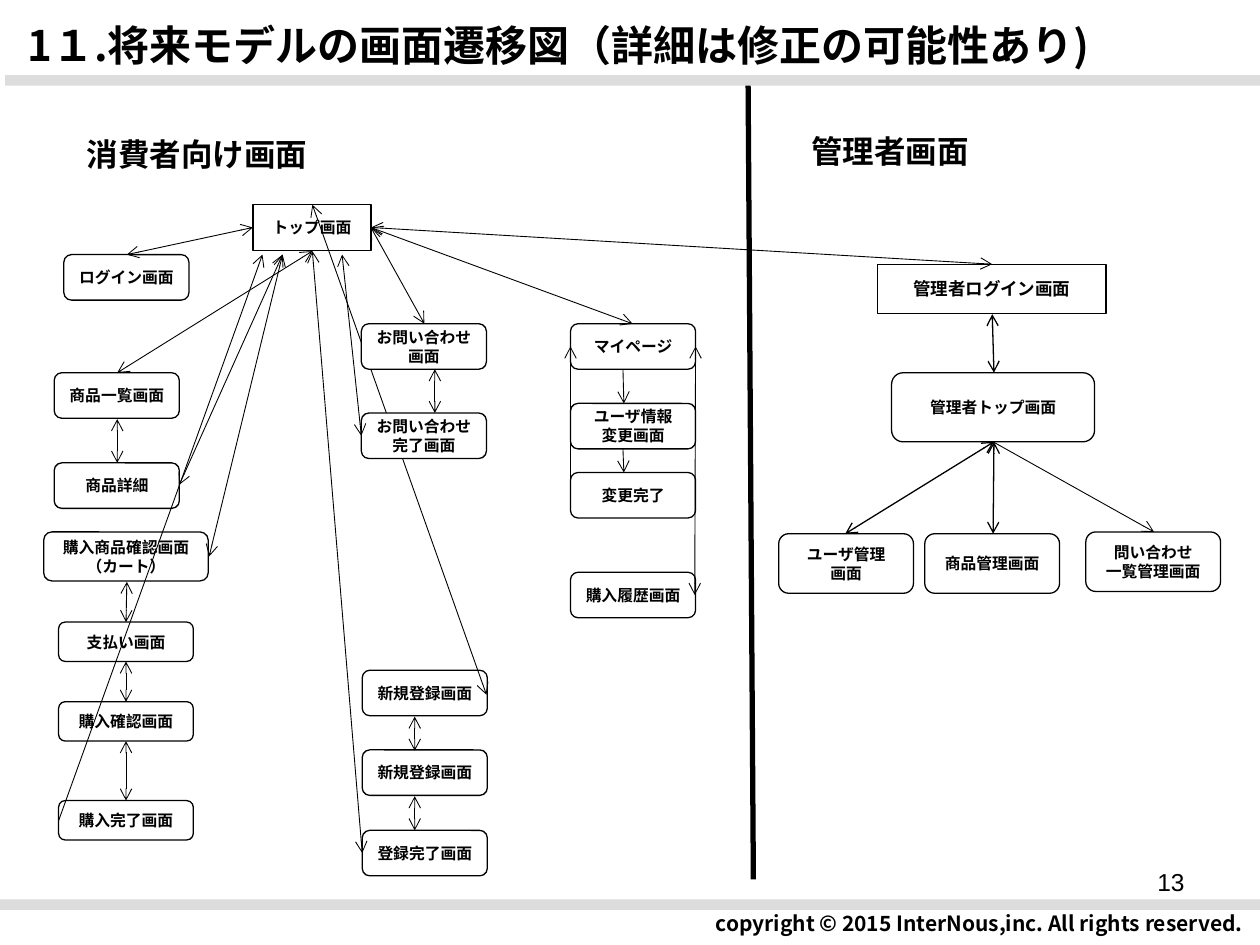
from pptx import Presentation
from pptx.dml.color import RGBColor
from pptx.enum.shapes import MSO_CONNECTOR as Link, MSO_SHAPE as Shape
from pptx.enum.text import MSO_ANCHOR as Anchor, PP_ALIGN as Align
from pptx.oxml.ns import qn
from pptx.util import Pt
from lxml.etree import SubElement

BLACK = RGBColor(0x00, 0x00, 0x00)
WHITE = RGBColor(0xFF, 0xFF, 0xFF)
GRAY = RGBColor(0xDD, 0xDD, 0xDD)
JAPANESE = "Noto Sans CJK JP"

prs = Presentation()
prs.slide_width, prs.slide_height = Pt(720), Pt(540)
slide = prs.slides.add_slide(prs.slide_layouts[6])
shapes = slide.shapes


def write(shape, text, size, align, font=JAPANESE, bold=True):
    frame = shape.text_frame
    frame.text = text
    for paragraph in frame.paragraphs:
        paragraph.alignment = align
        for run in paragraph.runs:
            run.font.size = Pt(size)
            run.font.bold = bold
            run.font.name = font
            run.font.color.rgb = BLACK
            east_asian = SubElement(run.font._element, qn("a:ea"))
            east_asian.set("typeface", JAPANESE)


def connect(x1, y1, x2, y2, width=0.5, ends=("headEnd", "tailEnd")):
    link = shapes.add_connector(Link.STRAIGHT, Pt(x1), Pt(y1), Pt(x2), Pt(y2))
    link.line.color.rgb = BLACK
    link.line.width = Pt(width)
    for end in ends:
        SubElement(link.line._get_or_add_ln(), qn("a:" + end)).set("type", "arrow")
    SubElement(link._element.spPr, qn("a:effectLst"))


# Gray bands under the title and above the footer
for left, top in [(3, 43), (0, 514)]:
    band = shapes.add_shape(Shape.RECTANGLE, Pt(left), Pt(top), Pt(723), Pt(6))
    band.shadow.inherit = False
    band.fill.solid()
    band.fill.fore_color.rgb = GRAY
    band.line.fill.background()

# Title, footer and section headings
headings = [
    ("1１.将来モデルの画面遷移図（詳細は修正の可能性あり)", 8.5, 3.5, 700, 44, 24, Align.LEFT),
    ("copyright © 2015 InterNous,inc. All rights reserved.", 212.5, 514, 505, 26.5, 12, Align.RIGHT),
    ("消費者向け画面", 42.5, 66, 150, 44, 18, Align.LEFT),
    ("管理者画面", 456.5, 71.5, 104.5, 29, 18, Align.LEFT),
]
for text, left, top, width, height, size, align in headings:
    heading = shapes.add_textbox(Pt(left), Pt(top), Pt(width), Pt(height))
    heading.text_frame.word_wrap = False
    heading.text_frame.vertical_anchor = Anchor.MIDDLE
    write(heading, text, size, align)

page_number = shapes.add_textbox(Pt(516), Pt(492), Pt(168), Pt(37.5))
page_number.text_frame.word_wrap = True
write(page_number, "13", 14, Align.RIGHT, "Arial", False)

# Divider between the consumer and the administrator side
connect(427.5, 49, 430.5, 502.5, 3, ())

# Screens: left, width, height, then (text, top) down the column
main_columns = [
    (144.5, 67.5, 26, [("トップ画面", 117)]),
    (36.5, 71.5, 26, [("ログイン画面", 145.5)]),
    (31, 71.5, 26, [("商品一覧画面", 213), ("商品詳細", 264.5)]),
    (25, 94, 28, [("購入商品確認画面\n（カート）", 304)]),
    (33.5, 77, 22.5, [("支払い画面", 355.5), ("購入確認画面", 401), ("購入完了画面", 457.5)]),
    (326, 71.5, 26, [("マイページ", 185), ("ユーザ情報\n変更画面", 230.5),
                     ("変更完了", 270), ("購入履歴画面", 327)]),
    (207, 71.5, 26, [("新規登録画面", 383), ("新規登録画面", 428.5), ("登録完了画面", 474.5)]),
    (501.5, 130.5, 28, [("管理者ログイン画面", 151)]),
    (509.5, 116, 39.5, [("管理者トップ画面", 213)]),
    (445, 77, 34, [("ユーザ管理\n画面", 305)]),
    (528.5, 77, 34, [("商品管理画面", 305)]),
    (620.5, 77, 34, [("問い合わせ\n一覧管理画面", 304)]),
]
main_two_way = [
    (144.5, 130, 72.5, 145.5),      # top - login
    (212, 130, 361.5, 185),         # top - my page
    (178.5, 143.5, 67, 213),        # top - product list
    (67, 239.5, 67, 264.5),         # product list - detail
    (102.5, 277, 161.5, 145.5),     # detail - top
    (161.5, 145.5, 119.5, 318),     # top - cart
    (72.5, 332.5, 72, 355.5),       # cart - payment
    (72, 378, 72, 401),             # payment - confirmation
    (72, 423.5, 72, 457.5),         # confirmation - completion
    (178.5, 117, 278, 397),         # top - registration
    (237, 409.5, 237, 429),         # registration - second step
    (237, 455, 237, 474.5),         # second step - completion
    (178.5, 143.5, 207, 487.5),     # top - registration completion
    (397.5, 198, 397, 340),         # my page - purchase history
    (212, 130, 567, 151),           # top - administrator login
]
admin_two_way = [
    (567, 179.5, 568, 213),
    (568, 252.5, 483, 305),
    (568, 252.5, 567.5, 305),
]
one_way = [
    (356, 211, 356.5, 230.5),       # my page - user data
    (356, 256.5, 356.5, 270),       # user data - changed
    (326, 283, 326, 198),           # changed - my page
    (33.5, 469, 150, 145.5),        # purchase completion - top
    (567.5, 252.5, 659.5, 304),     # administrator top - inquiries
]

# The inquiry screens lie over the arrows of the other screens
inquiry_columns = [(206.5, 71.5, 26, [("お問い合わせ画面", 185), ("お問い合わせ完了画面", 236)])]
inquiry_two_way = [
    (212, 130, 242.5, 185),
    (248.5, 211, 248.5, 236),
    (206.5, 249, 195.5, 145.5),
]

layers = [
    (main_columns, main_two_way, admin_two_way, one_way),
    (inquiry_columns, inquiry_two_way, [], []),
]
for columns, thin_arrows, thick_arrows, single_arrows in layers:
    for left, width, height, screens in columns:
        for text, top in screens:
            square = text in ("トップ画面", "管理者ログイン画面")
            outline = Shape.RECTANGLE if square else Shape.ROUNDED_RECTANGLE
            screen = shapes.add_shape(outline, Pt(left), Pt(top), Pt(width), Pt(height))
            screen.shadow.inherit = False
            screen.fill.solid()
            screen.fill.fore_color.rgb = WHITE
            screen.line.color.rgb = BLACK
            screen.line.width = Pt(0.75)
            screen.text_frame.vertical_anchor = Anchor.MIDDLE
            size = 10 if text == "管理者ログイン画面" else 9
            font = JAPANESE if left in (445, 528.5, 620.5) else "Arial"
            write(screen, text, size, Align.CENTER, font)
    for ends in thin_arrows:
        connect(*ends)
    for ends in thick_arrows:
        connect(*ends, width=0.75)
    for ends in single_arrows:
        connect(*ends, ends=("tailEnd",))

prs.save("out.pptx")
